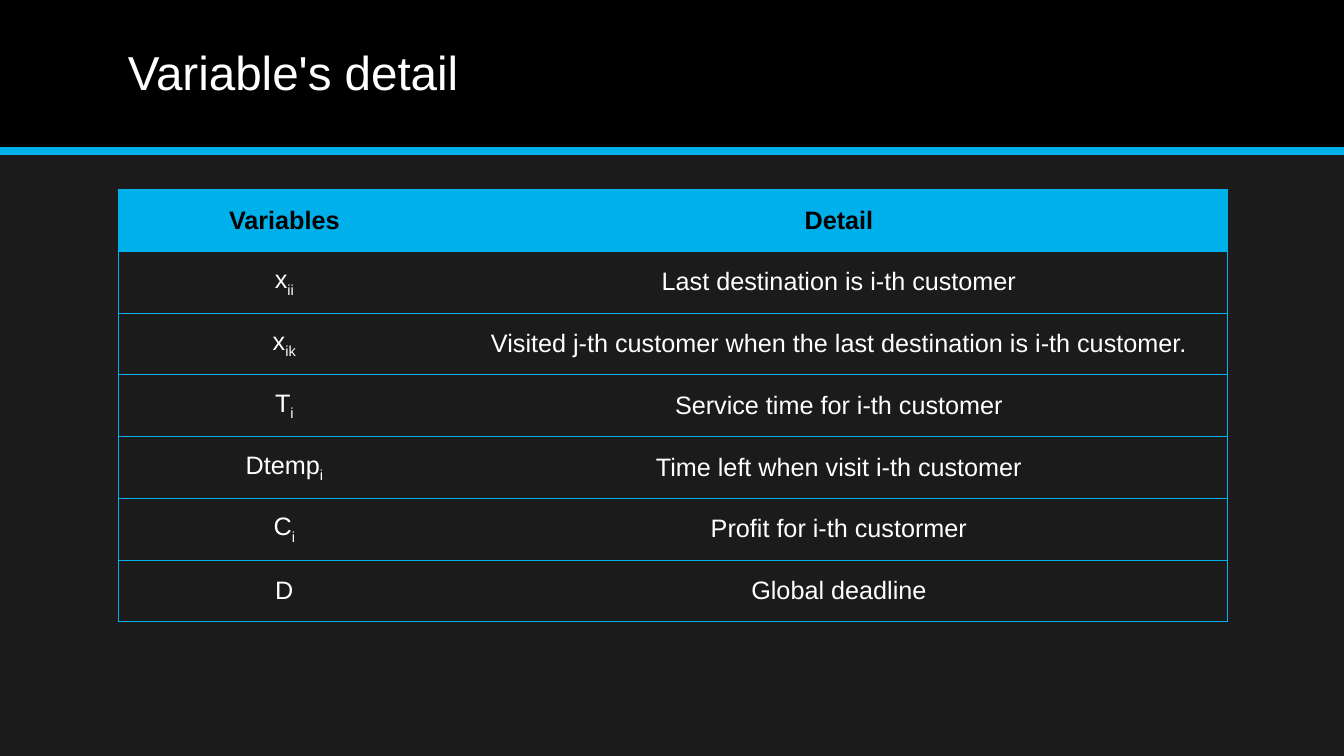
"""Build the slide that lists each variable and its meaning."""
from lxml import etree
from pptx import Presentation, util as u
from pptx.dml.color import RGBColor
from pptx.enum import shapes, text
from pptx.oxml import ns

TITLE = "Variable's detail"
HEADINGS = ("Variables", "Detail")
VARIABLES = [
    ("x", "ii", "Last destination is i-th customer"),
    ("x", "ik", "Visited j-th customer when the last destination is i-th customer."),
    ("T", "i", "Service time for i-th customer"),
    ("Dtemp", "i", "Time left when visit i-th customer"),
    ("C", "i", "Profit for i-th custormer"),
    ("D", "", "Global deadline"),
]
COLOURS = {"back": "1B1B1B", "band": "000000", "accent": "00B0EA", "light": "FFFFFF"}
TITLE_FONT = {"name": "Arial", "size": u.Pt(34), "bold": False}
HEADING_FONT = {"name": "Arial", "size": u.Pt(18), "bold": True}
BODY_FONT = {**HEADING_FONT, "bold": False}
WIDTH, HEIGHT, BAND = u.Inches(13.33), u.Inches(7.5), u.Inches(1.5)
LEFT, CONTENT_WIDTH = u.Inches(1.17), u.Inches(11)
COLUMNS = (u.Inches(3.3), u.Inches(7.7))
TABLE_TOP, TABLE_HEIGHT = u.Inches(1.88), u.Inches(4.29)


def colour(name):
    return RGBColor.from_string(COLOURS[name])


def paint(fill, name):
    fill.solid()
    fill.fore_color.rgb = colour(name)


def write(paragraph, wording, font_format, ink, subscript=False):
    run = paragraph.add_run()
    run.text = wording
    for key, value in font_format.items():
        setattr(run.font, key, value)
    run.font.color.rgb = colour(ink)
    if subscript:
        run.font._element.set("baseline", "-25000")


def edge(cell, side, visible):
    line = etree.SubElement(cell._tc.get_or_add_tcPr(), ns.qn(f"a:ln{side}"), w=str(u.Pt(0.5)))
    if visible:
        solid = etree.SubElement(line, ns.qn("a:solidFill"))
        etree.SubElement(solid, ns.qn("a:srgbClr"), val=COLOURS["accent"])
    else:
        etree.SubElement(line, ns.qn("a:noFill"))


def add_header(slide):
    band = slide.shapes.add_shape(shapes.MSO_SHAPE.RECTANGLE, 0, 0, WIDTH, BAND)
    band.shadow.inherit = False
    paint(band.fill, "band")
    band.line.fill.background()

    rule = slide.shapes.add_connector(shapes.MSO_CONNECTOR.STRAIGHT, 0, BAND, WIDTH, BAND)
    rule.line.color.rgb = colour("accent")
    rule.line.width = u.Pt(6)
    etree.SubElement(rule._element.spPr, ns.qn("a:effectLst"))

    title = slide.shapes.add_textbox(LEFT, u.Inches(0.14), CONTENT_WIDTH, u.Inches(1.2)).text_frame
    title.word_wrap = True
    title.vertical_anchor = text.MSO_ANCHOR.MIDDLE
    title.paragraphs[0].line_spacing = 0.9
    write(title.paragraphs[0], TITLE, TITLE_FONT, "light")


def add_variables(slide):
    row_count = len(VARIABLES) + 1
    table = slide.shapes.add_table(
        row_count, len(COLUMNS), LEFT, TABLE_TOP, CONTENT_WIDTH, TABLE_HEIGHT).table
    table.horz_banding = False
    for column, width in zip(table.columns, COLUMNS):
        column.width = width
    for row in table.rows:
        row.height = TABLE_HEIGHT // row_count

    headings = [[(heading, "")] for heading in HEADINGS]
    details = [[(symbol, index), (detail, "")] for symbol, index, detail in VARIABLES]
    entries = [[(heading, "") for heading in HEADINGS]] + details
    for row_index, entry in enumerate(entries):
        heading = row_index == 0
        for column_index, (wording, index) in enumerate(entry):
            cell = table.cell(row_index, column_index)
            cell.vertical_anchor = text.MSO_ANCHOR.MIDDLE
            for side, visible in (("L", column_index == 0), ("R", column_index == 1),
                                  ("T", True), ("B", True)):
                edge(cell, side, visible)
            if heading:
                paint(cell.fill, "accent")
            else:
                cell.fill.background()
            paragraph = cell.text_frame.paragraphs[0]
            paragraph.alignment = text.PP_ALIGN.CENTER
            font_format, ink = (HEADING_FONT, "band") if heading else (BODY_FONT, "light")
            write(paragraph, wording, font_format, ink)
            if index:
                write(paragraph, index, font_format, ink, subscript=True)


def main():
    deck = Presentation()
    deck.slide_width, deck.slide_height = WIDTH, HEIGHT
    slide = deck.slides.add_slide(deck.slide_layouts[6])
    paint(slide.background.fill, "back")
    add_header(slide)
    add_variables(slide)
    deck.save("out.pptx")


if __name__ == "__main__":
    main()
